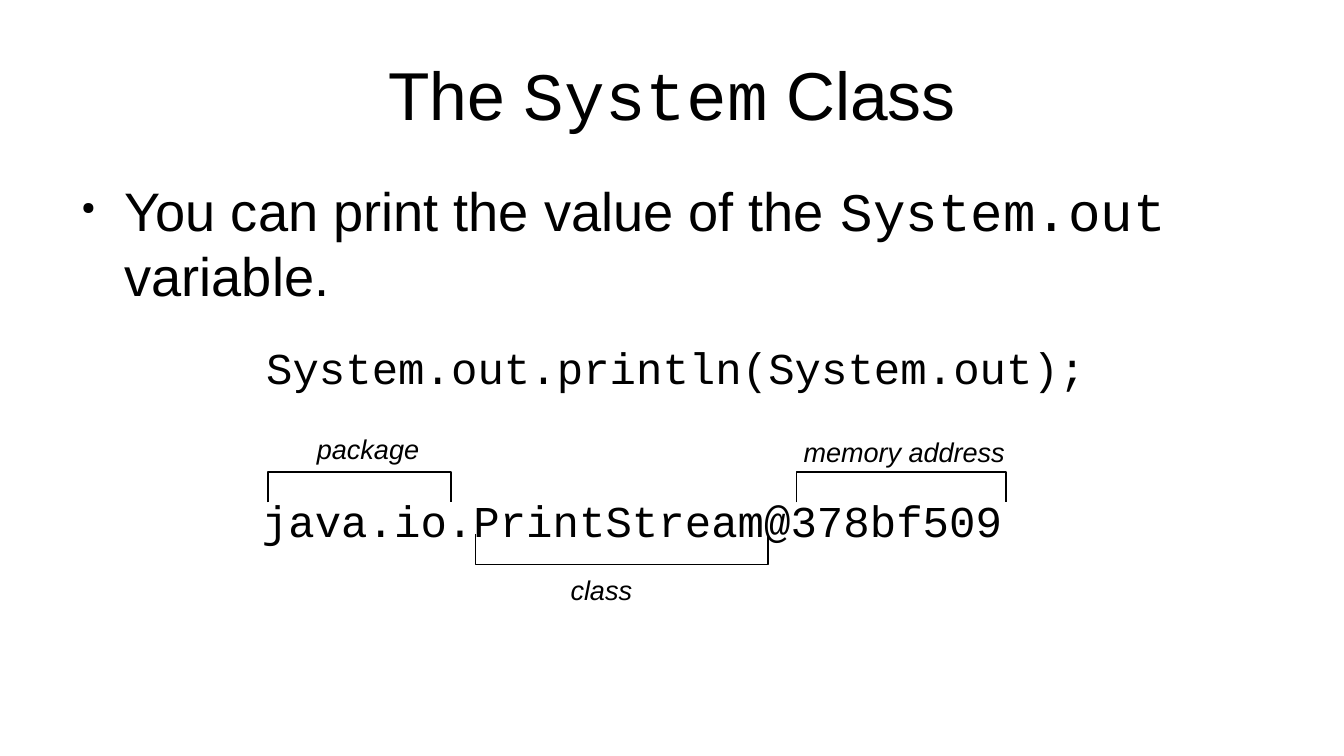
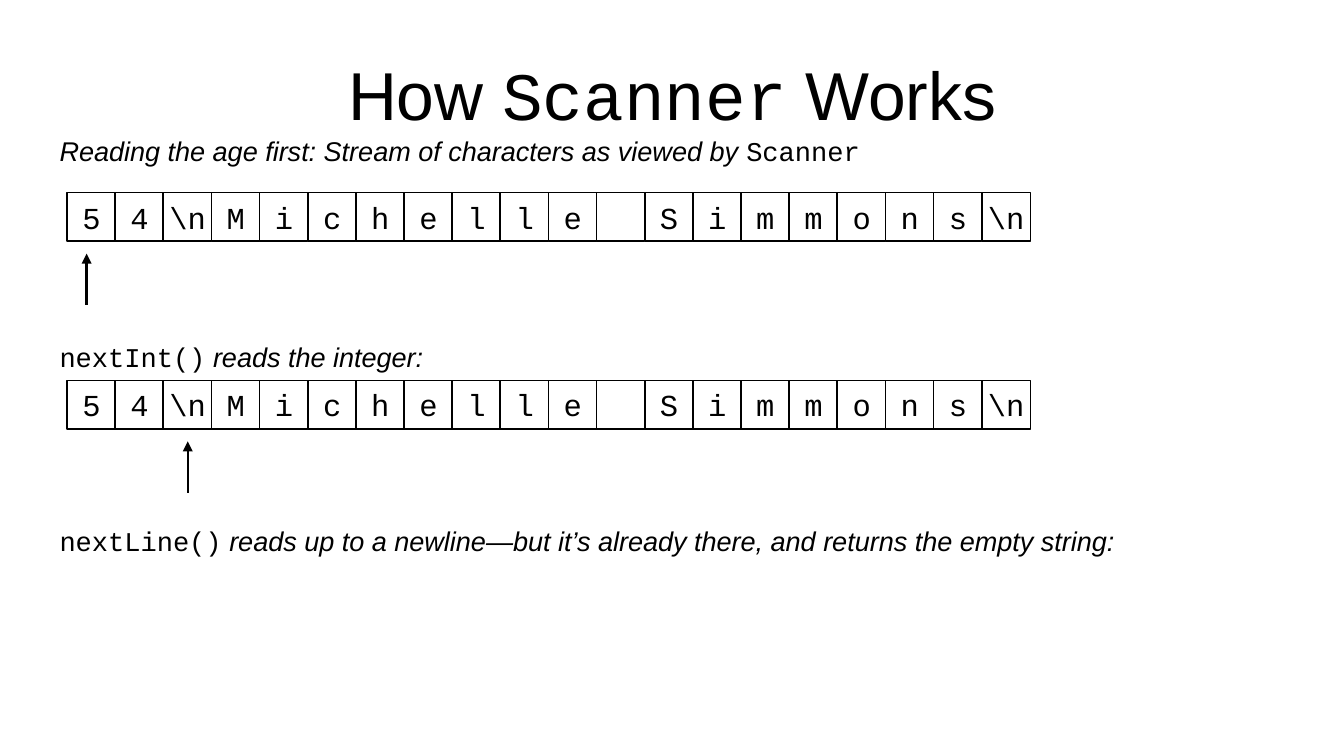
from lxml import etree
from pptx import Presentation
from pptx.dml.color import RGBColor
from pptx.enum import shapes, text
from pptx.oxml.ns import qn
from pptx.util import Pt

COLORS = {"ink": "000000", "paper": "FFFFFF"}
SANS, MONO = "Arial", "Courier New"
SLIDE_W, SLIDE_H = 793.44, 446.4
MARGIN, CONTENT_W = 39.6, 714.24
LABEL_SIZE, CODE_SIZE = 16, 26

CELL, CELL_PITCH = 28.8, 28.42
STREAM = ["5", "4", "\\n", *"Michelle Simmons", "\\n"]


def color(name):
    return RGBColor.from_string(COLORS[name])


def set_margins(frame, horizontal, vertical):
    frame.margin_left = frame.margin_right = Pt(horizontal)
    frame.margin_top = frame.margin_bottom = Pt(vertical)


def fill_paragraph(paragraph, runs, size):
    """Write (text, font, italic) runs, all of one size, into a paragraph."""
    paragraph.font.size = Pt(size)
    paragraph.font.color.rgb = color("ink")
    shared = len(runs) == 1
    for words, font_name, italic in runs:
        run = paragraph.add_run()
        run.text = words
        font = paragraph.font if shared else run.font
        font.name = font_name
        font.italic = italic


def add_text(slide, left, top, width, height, runs, size):
    box = slide.shapes.add_textbox(Pt(left), Pt(top), Pt(width), Pt(height))
    fill_paragraph(box.text_frame.paragraphs[0], runs, size)
    return box.text_frame


def add_title(slide, before, code, after):
    runs = [(before, SANS, False), (code, MONO, False), (after, SANS, False)]
    frame = add_text(slide, MARGIN, 18, CONTENT_W, 74.88, runs, 40)
    frame.word_wrap = True
    frame.vertical_anchor = text.MSO_ANCHOR.MIDDLE
    frame.paragraphs[0].alignment = text.PP_ALIGN.CENTER
    set_margins(frame, 0, 0)


def add_bullet(slide, top, height, runs):
    frame = add_text(slide, MARGIN, top, CONTENT_W, height, runs, 32)
    frame.word_wrap = True
    set_margins(frame, 0, 0)
    props = frame.paragraphs[0]._p.get_or_add_pPr()
    props.set("marL", str(Pt(33.84)))
    props.set("indent", str(Pt(-25.2)))
    bullet_size = etree.Element(qn("a:buSzPct"), val="32000")
    bullet_char = etree.Element(qn("a:buChar"), char="●")
    props.insert(0, bullet_size)
    props.insert(1, bullet_char)


def add_line_of_text(slide, left, top, width, height, runs, size=LABEL_SIZE):
    frame = add_text(slide, left, top, width, height, runs, size)
    frame.word_wrap = False
    frame.auto_size = text.MSO_AUTO_SIZE.SHAPE_TO_FIT_TEXT


def add_bracket(slide, left, right, spine, ends):
    """Draw a square bracket whose arms run from the spine to the ends."""
    builder = slide.shapes.build_freeform(Pt(left), Pt(ends), scale=1.0)
    corners = [(left, spine), (right, spine), (right, ends)]
    builder.add_line_segments([(Pt(x), Pt(y)) for x, y in corners], close=False)
    bracket = builder.convert_to_shape()
    bracket.shadow.inherit = False
    bracket.fill.background()
    bracket.line.color.rgb = color("ink")
    bracket.line.width = Pt(1)


def add_cell(slide, left, top, character):
    cell = slide.shapes.add_shape(
        shapes.MSO_SHAPE.RECTANGLE, Pt(left), Pt(top), Pt(CELL), Pt(CELL))
    cell.shadow.inherit = False
    cell.fill.solid()
    cell.fill.fore_color.rgb = color("paper")
    cell.line.color.rgb = color("ink")
    cell.line.width = Pt(1)
    if character.isspace():
        return
    frame = cell.text_frame
    frame.word_wrap = False
    frame.vertical_anchor = text.MSO_ANCHOR.MIDDLE
    set_margins(frame, 7.92, 4.32)
    frame.paragraphs[0].alignment = text.PP_ALIGN.CENTER
    fill_paragraph(frame.paragraphs[0], [(character, MONO, False)], 18)


def add_up_arrow(slide, x, tip, length):
    arrow = slide.shapes.add_connector(
        shapes.MSO_CONNECTOR.STRAIGHT, Pt(x), Pt(tip + length), Pt(x), Pt(tip))
    arrow.line.color.rgb = color("ink")
    arrow.line.width = Pt(1.5)
    etree.SubElement(arrow.line._get_or_add_ln(), qn("a:tailEnd"), type="triangle")
    etree.SubElement(arrow._element.spPr, qn("a:effectLst"))


def add_stream(slide, top, pointer_x):
    """Draw the character cells with an arrow at the reading position."""
    for index, character in enumerate(STREAM):
        add_cell(slide, MARGIN + index * CELL_PITCH, top, character)
    add_up_arrow(slide, pointer_x, top + 36, 30.24)


def build_system_slide(slide):
    add_title(slide, "The ", "System", " Class")
    add_bullet(slide, 104.4, 75.6, [
        ("You can print the value of the ", SANS, False),
        ("System.out", MONO, False),
        (" variable.", SANS, False)])
    for left, top, width, code in [
            (150, 197.28, 500, "System.out.println(System.out);"),
            (147.6, 288, 454, "java.io.PrintStream@378bf509")]:
        add_line_of_text(slide, left, top, width, 36.72,
                         [(code, MONO, False)], CODE_SIZE)
    for left, right, spine, ends in [
            (158.4, 266.4, 278.64, 296.64),
            (470.16, 594, 278.64, 296.64),
            (280.8, 453.6, 333.36, 315.36)]:
        add_bracket(slide, left, right, spine, ends)
    for left, top, width, label in [
            (180, 252, 76, "package"),
            (329.76, 334.8, 52, "class"),
            (467.28, 253.44, 134, "memory address")]:
        add_line_of_text(slide, left, top, width, 25.2, [(label, SANS, True)])


def build_scanner_slide(slide):
    add_title(slide, "How ", "Scanner", " Works")
    for top, width, runs in [
            (75.6, 488, [
                ("Reading the age first: Stream of characters as viewed by ", SANS, True),
                ("Scanner", MONO, False)]),
            (197.28, 230, [
                ("nextInt()", MONO, False),
                (" reads the integer:", SANS, True)]),
            (306, 640, [
                ("nextLine()", MONO, False),
                (" reads up to a newline—but it’s already there, "
                 "and returns the empty string:", SANS, True)])]:
        add_line_of_text(slide, 28.08, top, width, 26.64, runs)
    add_stream(slide, 113.76, 51.12)
    add_stream(slide, 224.64, 110.88)


def main():
    deck = Presentation()
    deck.slide_width, deck.slide_height = Pt(SLIDE_W), Pt(SLIDE_H)
    blank = deck.slide_layouts[6]
    for build in (build_system_slide, build_scanner_slide):
        build(deck.slides.add_slide(blank))
    deck.save("out.pptx")


if __name__ == "__main__":
    main()
